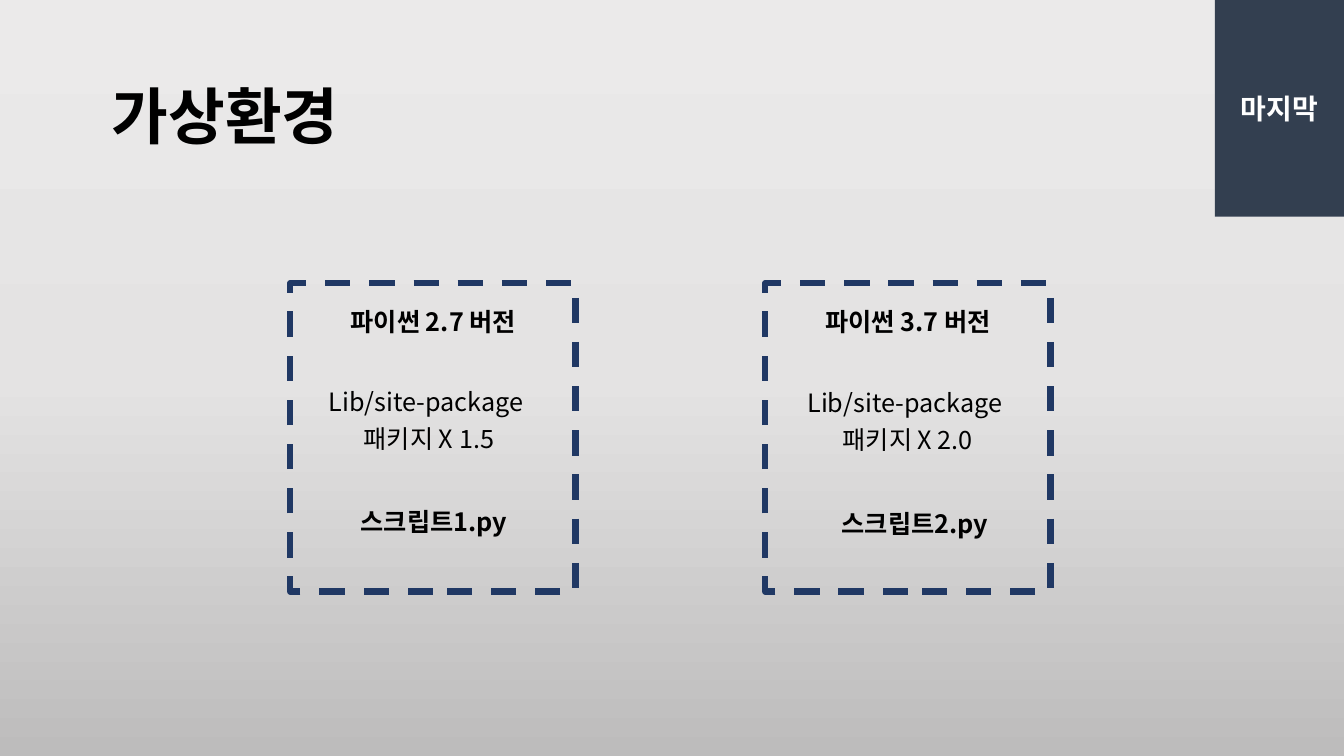
"""Builds the slide that compares two Python virtual environments."""
from lxml.etree import SubElement
from pptx import Presentation
from pptx.dml.color import RGBColor
from pptx.enum.dml import MSO_LINE
from pptx.enum.shapes import MSO_SHAPE
from pptx.enum.text import MSO_ANCHOR, MSO_AUTO_SIZE, PP_ALIGN
from pptx.oxml.ns import qn
from pptx.util import Inches, Pt

FONT = "Noto Sans CJK KR"
BACKGROUND_STOPS = [(0, "EBEAEA"), (50, "E4E3E3"), (100, "BDBCBC")]
FRAME_TOP, FRAME_WIDTH, FRAME_HEIGHT = 2.81, 2.83, 3.06
ENVIRONMENTS = [
    (2.88, [
        ("파이썬 2.7 버전", 3.38, 2.99, 2.16, True),
        ("Lib/site-package", 3.16, 3.78, 2.27, False),
        ("패키지 X 1.5", 3.51, 4.15, 2.27, False),
        ("스크립트1.py", 3.48, 4.97, 2.27, True),
    ]),
    (7.59, [
        ("파이썬 3.7 버전", 8.09, 2.99, 2.16, True),
        ("Lib/site-package", 7.91, 3.79, 2.27, False),
        ("패키지 X 2.0", 8.26, 4.16, 2.27, False),
        ("스크립트2.py", 8.25, 4.99, 2.27, True),
    ]),
]


def color(value):
    return RGBColor.from_string(value)


def set_background(slide):
    fill = slide.background.fill
    fill.gradient()
    fill.gradient_angle = 270
    stop_list = next(slide.element.iter(qn("a:gsLst")))
    for stop in list(stop_list):
        stop_list.remove(stop)
    for position, value in BACKGROUND_STOPS:
        stop = SubElement(stop_list, qn("a:gs"), pos=str(position * 1000))
        SubElement(stop, qn("a:srgbClr"), val=value)


def write_text(shape, text, size, bold, value="000000", alignment=PP_ALIGN.LEFT):
    paragraph = shape.text_frame.paragraphs[0]
    paragraph.alignment = alignment
    run = paragraph.add_run()
    run.text = text
    run.font.size = Pt(size)
    run.font.bold = bold
    run.font.name = FONT
    run.font.color.rgb = color(value)
    SubElement(run.font._element, qn("a:ea"), typeface=FONT)
    return paragraph


def add_title(slide, text):
    title = slide.shapes.title
    title.left, title.top = Inches(1.01), Inches(0.46)
    title.width, title.height = Inches(11.5), Inches(1.45)
    title.text_frame.vertical_anchor = MSO_ANCHOR.MIDDLE
    paragraph = write_text(title, text, 44, True)
    paragraph.line_spacing = 0.9


def add_rectangle(slide, left, top, width, height):
    shape = slide.shapes.add_shape(
        MSO_SHAPE.RECTANGLE, Inches(left), Inches(top), Inches(width), Inches(height))
    shape.shadow.inherit = False
    return shape


def add_tab(slide, text):
    tab = add_rectangle(slide, 12.05, 0, 1.28, 2.15)
    tab.fill.solid()
    tab.fill.fore_color.rgb = color("333F50")
    tab.line.fill.background()
    tab.text_frame.vertical_anchor = MSO_ANCHOR.MIDDLE
    write_text(tab, text, 20, True, "FFFFFF", PP_ALIGN.CENTER)


def add_frame(slide, left):
    frame = add_rectangle(slide, left, FRAME_TOP, FRAME_WIDTH, FRAME_HEIGHT)
    frame.fill.background()
    frame.line.color.rgb = color("203864")
    frame.line.width = Pt(4.5)
    frame.line.dash_style = MSO_LINE.DASH


def add_label(slide, text, left, top, width, bold):
    label = slide.shapes.add_textbox(
        Inches(left), Inches(top), Inches(width), Inches(0.4))
    label.text_frame.word_wrap = True
    label.text_frame.auto_size = MSO_AUTO_SIZE.SHAPE_TO_FIT_TEXT
    write_text(label, text, 18, bold)


def main():
    presentation = Presentation()
    presentation.slide_width = Inches(13.33)
    presentation.slide_height = Inches(7.5)
    slide = presentation.slides.add_slide(presentation.slide_layouts[5])
    set_background(slide)
    add_title(slide, "가상환경")
    add_tab(slide, "마지막")
    for frame_left, labels in ENVIRONMENTS:
        add_frame(slide, frame_left)
        for label in labels:
            add_label(slide, *label)
    presentation.save("out.pptx")


if __name__ == "__main__":
    main()
